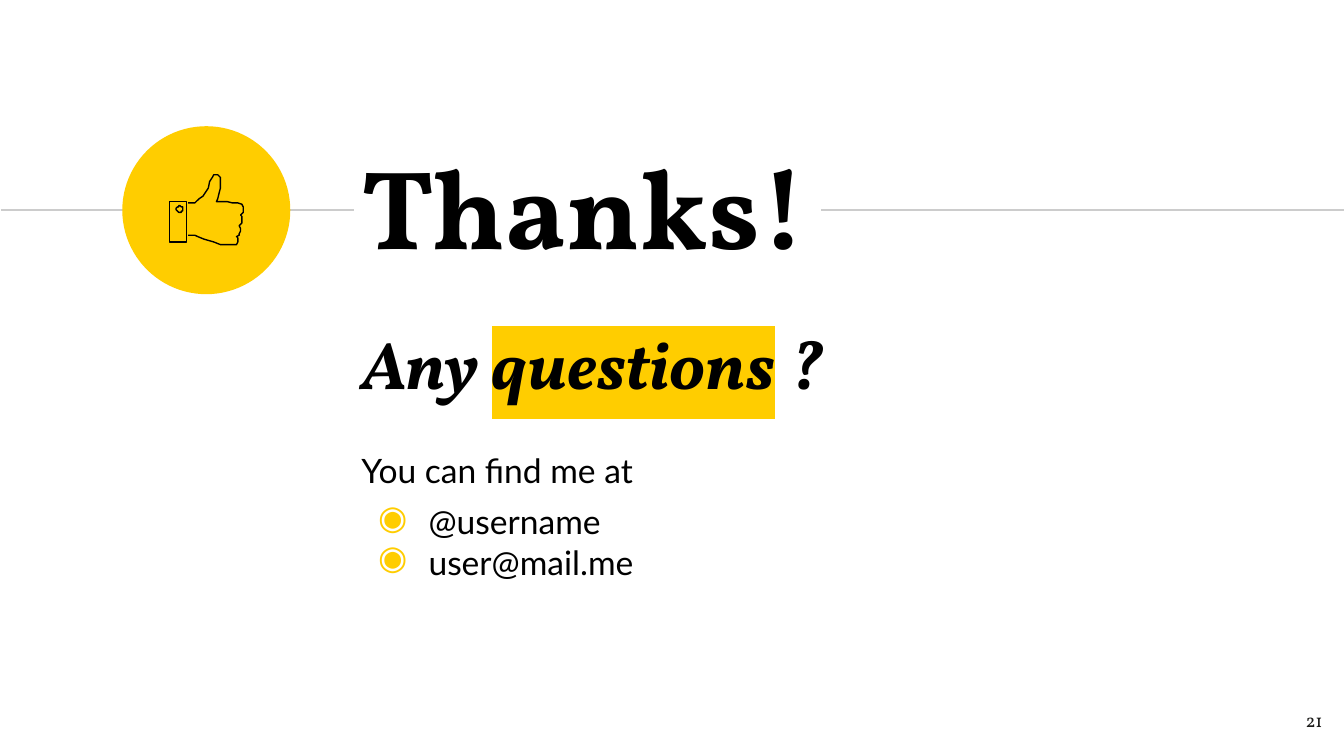
import math

from lxml import etree
from pptx import Presentation
from pptx.dml.color import RGBColor
from pptx.enum.shapes import MSO_CONNECTOR, MSO_SHAPE
from pptx.enum.text import MSO_ANCHOR, PP_ALIGN
from pptx.oxml.ns import qn
from pptx.util import Pt

STRAIGHT = MSO_CONNECTOR.STRAIGHT
OVAL = MSO_SHAPE.OVAL
TOP, MIDDLE = MSO_ANCHOR.TOP, MSO_ANCHOR.MIDDLE
LEFT, RIGHT = PP_ALIGN.LEFT, PP_ALIGN.RIGHT

BLACK = RGBColor(0x00, 0x00, 0x00)
INK = RGBColor(0x1D, 0x1D, 0x1B)
YELLOW = RGBColor(0xFF, 0xCD, 0x00)
GREY = RGBColor(0xCC, 0xCC, 0xCC)

presentation = Presentation()
presentation.slide_width, presentation.slide_height = Pt(720), Pt(405)
slide = presentation.slides.add_slide(presentation.slide_layouts[6])


def add_text(paragraph, text, size=18, font="Lato", color=BLACK, bold=False,
             italic=False, highlight=None, bullet=None, before=0, align=LEFT):
    """Append a run to the paragraph and set the format of both."""
    paragraph.alignment = align
    paragraph.space_before = Pt(before)
    if bullet:
        properties = paragraph._p.get_or_add_pPr()
        properties.set("marL", str(Pt(36)))
        properties.set("indent", str(Pt(-27)))
        bullet_color = etree.SubElement(properties, qn("a:buClr"))
        etree.SubElement(bullet_color, qn("a:srgbClr"), val=str(YELLOW))
        etree.SubElement(properties, qn("a:buChar"), char=bullet)
    run = paragraph.add_run()
    run.text = text
    run.font.size, run.font.name = Pt(size), font
    run.font.bold, run.font.italic = bold, italic
    run.font.color.rgb = color
    if highlight:
        mark = etree.Element(qn("a:highlight"))
        etree.SubElement(mark, qn("a:srgbClr"), val=str(highlight))
        run.font._element.find(qn("a:latin")).addprevious(mark)


def add_frame(left, top, width, height, anchor=TOP):
    frame = slide.shapes.add_textbox(Pt(left), Pt(top), Pt(width), Pt(height)).text_frame
    frame.word_wrap = True
    frame.vertical_anchor = anchor
    frame.margin_left = frame.margin_right = Pt(7.2)
    frame.margin_top = frame.margin_bottom = Pt(7.2)
    return frame


# Rule on both sides of the title
for start, end in [(0.5, 189.5), (440, 720)]:
    rule = slide.shapes.add_connector(STRAIGHT, Pt(start), Pt(112.5), Pt(end), Pt(112.5))
    rule.line.color.rgb = GREY
    rule.line.width = Pt(0.75)
    etree.SubElement(rule._element.spPr, qn("a:effectLst"))

title = add_frame(186.5, 64.1, 386.6, 91.4, MIDDLE)
add_text(title.paragraphs[0], "Thanks!", size=60, font="Vollkorn", bold=True)

# Question and contact details
message = add_frame(186.5, 165.6, 395.3, 150)
question = message.paragraphs[0]
for words, highlight in [("Any ", None), ("questions", YELLOW), (" ?", None)]:
    add_text(question, words, size=36, font="Vollkorn", bold=True, italic=True,
             highlight=highlight)
for line, bullet, before in [("You can find me at", None, 25),
                             ("@username", "◉", 6),
                             ("user@mail.me", "◉", 0)]:
    add_text(message.add_paragraph(), line, bullet=bullet, before=before)

page_number = add_frame(672.5, 373.7, 43.2, 31)
add_text(page_number.paragraphs[0], "21", size=10, font="Vollkorn", color=INK, align=RIGHT)

# Thumbs-up badge
badge = slide.shapes.add_shape(OVAL, Pt(65.5), Pt(67.6), Pt(90), Pt(90))
badge.shadow.inherit = False
badge.fill.solid()
badge.fill.fore_color.rgb = YELLOW
badge.line.fill.background()

# Icon outlines in hundredths of an inch (0.72 pt)
cuff = [(126, 150), (126, 179.5), (139, 179.5), (139, 150)]
button = [(133.8 + 2.4 * math.cos(math.tau * step / 24),
           155.6 + 2.4 * math.sin(math.tau * step / 24)) for step in range(24)]
hand = [
    (140, 175), (145, 175), (147, 176), (152, 178), (159, 180.3), (164, 181.6),
    (169, 182.2), (174, 182), (176, 181.5), (177, 180.5), (177.4, 178.5),
    (177, 176.8), (176.4, 176), (177.6, 175.3), (178.5, 174), (179, 172),
    (179, 169.8), (178, 168), (179, 167.3), (180, 165.8), (180.4, 163.5),
    (180, 161), (179, 159.8), (180, 159), (180.9, 157.5), (181, 155),
    (180.6, 153.6), (179.5, 152.4), (177, 151.3), (173, 150.6), (169, 150.2),
    (161, 150), (162.3, 148), (163.3, 144.5), (164, 140), (164.3, 136),
    (164.2, 133), (163.6, 131.5), (162.3, 130.5), (160.5, 130.1),
    (158.8, 130.5), (157.8, 131.6), (156.4, 135), (154.8, 140), (153.2, 143),
    (151, 145.5), (148, 148.3), (145, 151), (140, 151),
]
for outline, closed in [(cuff, True), (button, True), (hand, False)]:
    builder = slide.shapes.build_freeform(*outline[0], scale=Pt(0.72))
    builder.add_line_segments(outline[1:], close=closed)
    stroke = builder.convert_to_shape()
    stroke.shadow.inherit = False
    stroke.fill.background()
    stroke.line.color.rgb = BLACK
    stroke.line.width = Pt(0.75)

presentation.save("out.pptx")
